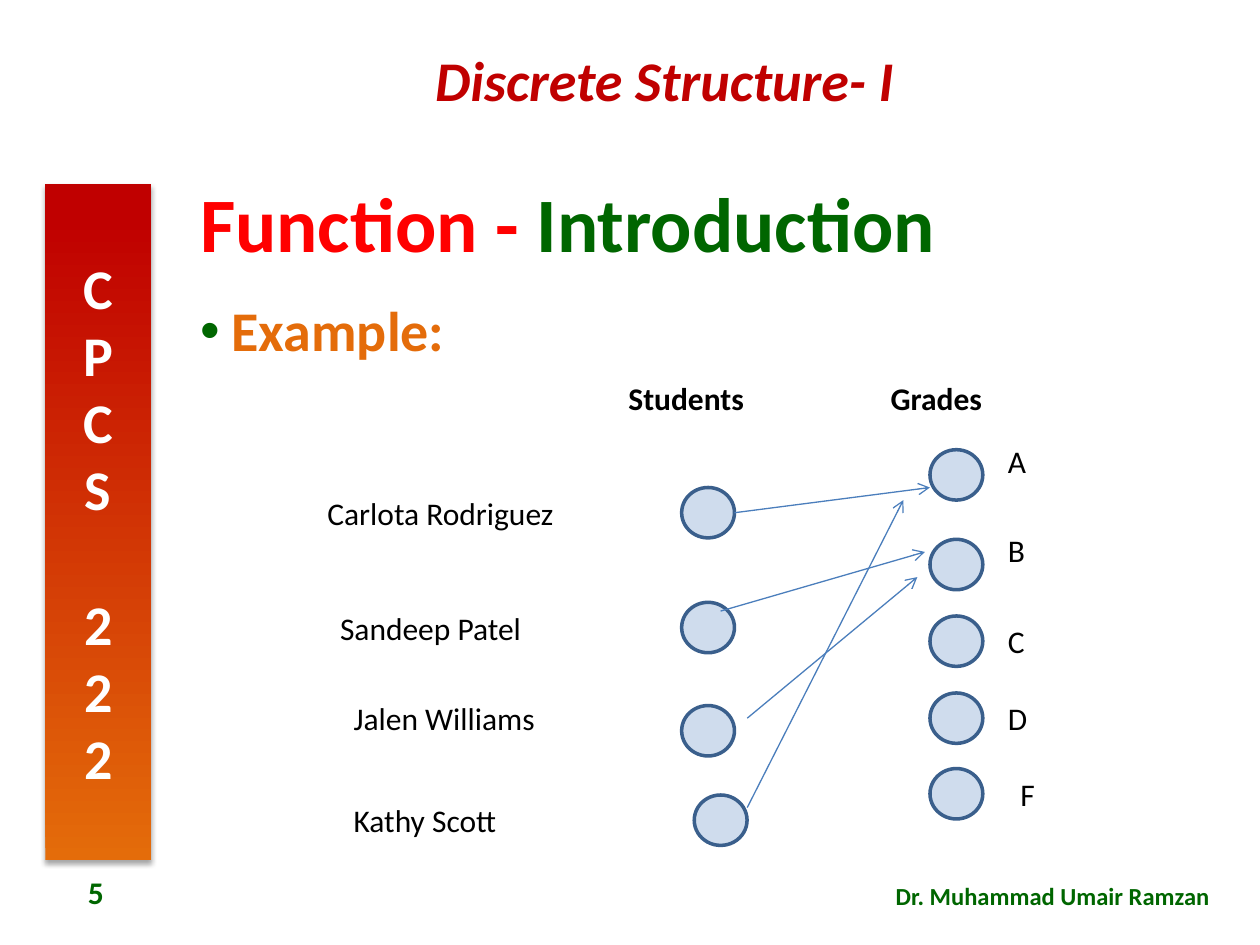
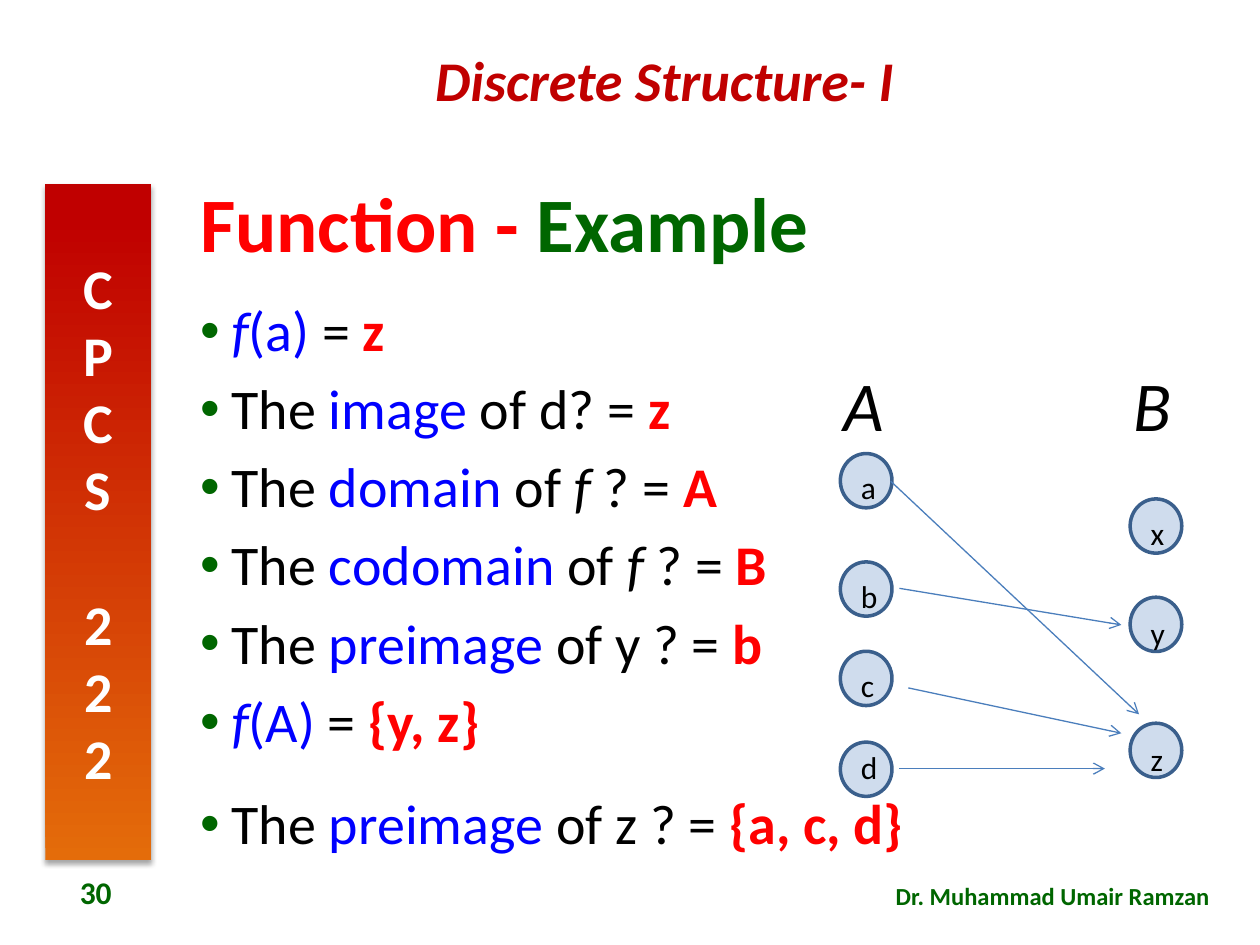
from lxml.etree import SubElement
from pptx import Presentation
from pptx.dml.color import RGBColor
from pptx.enum.shapes import MSO_CONNECTOR, MSO_SHAPE
from pptx.enum.text import MSO_ANCHOR, PP_ALIGN
from pptx.oxml.ns import qn
from pptx.util import Pt

RED, GREEN, BLUE, ORANGE = "FF0000", "006600", "0000FF", "E46C0A"
DARK_RED, BLACK, WHITE = "C00000", "000000", "FFFFFF"
NODE_FILL, NODE_LINE, ARROW = "4F81BD", "3A5F8C", "4B7EBC"


def color(value):
    return RGBColor.from_string(value)


class Deck:
    font = "Calibri"

    def __init__(self):
        self.presentation = Presentation()
        self.presentation.slide_width = Pt(720)
        self.presentation.slide_height = Pt(540)
        self.slide = None

    def new_slide(self, topic, number):
        layout = self.presentation.slide_layouts[6]
        self.slide = self.presentation.slides.add_slide(layout)
        self.text((152, 22.3, 455.8, 46), [("Discrete Structure- I", DARK_RED, "bi")],
                  32, PP_ALIGN.CENTER)
        self.band("CPCS 222")
        self.text((489.6, 499.7, 208.8, 24.5), [("Dr. Muhammad Umair Ramzan", GREEN, "b")],
                  14, PP_ALIGN.RIGHT)
        title = self.text((107.3, 97.9, 604, 64),
                          [("Function - ", RED, "b"), (topic, GREEN, "b")],
                          44, anchor=MSO_ANCHOR.MIDDLE)
        title.paragraphs[0].line_spacing = 0.9
        self.text((17.3, 495.4, 74.9, 28.8), [(number, GREEN, "b")],
                  18, PP_ALIGN.CENTER, MSO_ANCHOR.MIDDLE)

    def add_runs(self, paragraph, runs, size):
        for content, run_color, style in runs:
            run = paragraph.add_run()
            run.text = content
            run.font.name = self.font
            run.font.size = Pt(size)
            run.font.bold = "b" in style
            run.font.italic = "i" in style
            run.font.color.rgb = color(run_color)

    def text(self, box, runs, size=18, align=PP_ALIGN.LEFT, anchor=MSO_ANCHOR.TOP):
        frame = self.slide.shapes.add_textbox(*map(Pt, box)).text_frame
        frame.word_wrap = True
        frame.vertical_anchor = anchor
        frame.paragraphs[0].alignment = align
        self.add_runs(frame.paragraphs[0], runs, size)
        return frame

    def label(self, left, top, content, width=30, style="", size=18):
        self.text((left, top, width, size * 1.6), [(content, BLACK, style)], size)

    def bullets(self, items, last_gap=10):
        box = self.slide.shapes.add_textbox(Pt(107.3), Pt(169.9), Pt(604), Pt(316.8))
        frame = box.text_frame
        frame.word_wrap = True
        for index, runs in enumerate(items):
            paragraph = frame.add_paragraph() if index else frame.paragraphs[0]
            paragraph.alignment = PP_ALIGN.JUSTIFY
            paragraph.line_spacing = 0.9
            if index:
                paragraph.space_before = Pt(last_gap if index == len(items) - 1 else 10)
            properties = paragraph._p.get_or_add_pPr()
            properties.set("marL", str(Pt(18)))
            properties.set("indent", str(-Pt(18)))
            bullet_color = SubElement(properties, qn("a:buClr"))
            SubElement(bullet_color, qn("a:srgbClr"), val=GREEN)
            SubElement(properties, qn("a:buFont"), typeface="Arial")
            SubElement(properties, qn("a:buChar"), char="•")
            self.add_runs(paragraph, runs, 32)

    def band(self, course):
        shape = self.slide.shapes.add_shape(
            MSO_SHAPE.RECTANGLE, Pt(25.9), Pt(105.1), Pt(60.5), Pt(386.6))
        shape.line.fill.background()
        shape.fill.gradient()
        shape.fill.gradient_angle = 90
        stops = zip(shape.fill.gradient_stops, ((0, ORANGE), (0.95, DARK_RED)))
        for stop, (position, stop_color) in stops:
            stop.position = position
            stop.color.rgb = color(stop_color)
        effects = SubElement(shape._element.spPr, qn("a:effectLst"))
        shadow = SubElement(effects, qn("a:outerShdw"), blurRad=str(Pt(3.1)),
                            dist=str(Pt(1.8)), dir="5400000", rotWithShape="0")
        shade = SubElement(shadow, qn("a:srgbClr"), val=BLACK)
        SubElement(shade, qn("a:alpha"), val="35000")
        frame = shape.text_frame
        frame._txBody.bodyPr.set("vert", "wordArtVert")
        frame.paragraphs[0].alignment = PP_ALIGN.CENTER
        self.add_runs(frame.paragraphs[0], [(course, WHITE, "b")], 32)

    def node(self, left, top, width, height):
        shape = self.slide.shapes.add_shape(
            MSO_SHAPE.FLOWCHART_CONNECTOR, Pt(left), Pt(top), Pt(width), Pt(height))
        shape.shadow.inherit = False
        shape.fill.solid()
        shape.fill.fore_color.rgb = color(NODE_FILL)
        fill = shape._element.spPr.find(qn("a:solidFill"))
        SubElement(fill[0], qn("a:alpha"), val="27000")
        shape.line.color.rgb = color(NODE_LINE)
        shape.line.width = Pt(2)

    def arrow(self, *ends):
        connector = self.slide.shapes.add_connector(MSO_CONNECTOR.STRAIGHT, *map(Pt, ends))
        connector.line.color.rgb = color(ARROW)
        connector.line.width = Pt(0.75)
        SubElement(connector.line._get_or_add_ln(), qn("a:tailEnd"), type="arrow")
        SubElement(connector._element.spPr, qn("a:effectLst"))


def build_students(deck):
    deck.new_slide("Introduction", "5")
    deck.bullets([[("Example:", ORANGE, "b")]])
    deck.label(352, 213, "Students", 157, "b")
    deck.label(501.8, 213, "Grades", 104, "b")
    students = [
        ("Carlota Rodriguez", 180, 278.6, 389.5, 278.6),
        ("Sandeep Patel", 187.2, 344.2, 389.5, 344.2),
        ("Jalen Williams", 195, 396, 389.5, 403.2),
        ("Kathy Scott", 195, 454.3, 396.7, 454.3),
    ]
    for name, name_left, name_top, node_left, node_top in students:
        deck.node(node_left, node_top, 30.2, 28.8)
        deck.label(name_left, name_top, name, 190)
    grades = [("A", 568.8, 249, 257), ("B", 568.8, 300.2, 308.2), ("C", 568.8, 352, 352),
              ("D", 568.8, 396, 396), ("F", 576, 439.2, 439.2)]
    for grade, grade_left, grade_top, node_top in grades:
        deck.node(531.4, node_top, 30.2, 28.8)
        deck.label(grade_left, grade_top, grade)
    for ends in [(419.7, 293, 531.4, 278.6), (411.8, 349.2, 528.5, 315.4),
                 (427, 410.4, 524.2, 329.8), (427, 461.5, 516.2, 285.8)]:
        deck.arrow(*ends)


def question(term, subject, answer, function=False):
    if function:
        middle = [(" of ", BLACK, ""), ("f ", BLACK, "i"), ("? = ", BLACK, "")]
    else:
        middle = [(f" of {subject} = ", BLACK, "")]
    return [("The ", BLACK, ""), (term, BLUE, ""), *middle, (answer, RED, "b")]


def value(argument, answer):
    return [("f", BLUE, "i"), (f"({argument})", BLUE, ""), (" = ", BLACK, ""),
            (answer, RED, "b")]


def build_mapping(deck):
    deck.new_slide("Example", "30")
    deck.bullets([
        value("a", "z"),
        question("image", "d?", "z"),
        question("domain", "f", "A", function=True),
        question("codomain", "f", "B", function=True),
        question("preimage", "y ?", "b"),
        value("A", "{y, z}"),
        question("preimage", "z ?", "{a, c, d}"),
    ], last_gap=24)
    sets = [
        ("A", 480.2, [("a", 259.2, 5), ("b", 321.1, 5), ("c", 372.2, 5), ("d", 424.1, 0)]),
        ("B", 645.8, [("x", 285.1, 5), ("y", 341.3, 5.8), ("z", 413.3, 5.8)]),
    ]
    for set_name, left, members in sets:
        deck.label(left - 5, 203, set_name, 44, "i", 40)
        for member, top, drop in members:
            deck.node(left, top, 29.5, 31)
            deck.label(left + 4.6, top + drop, member)
    for ends in [(514, 336.2, 640.8, 357.1), (509, 275, 650.9, 408.2),
                 (519, 393.1, 640.8, 419), (514, 439.2, 631.4, 439.2)]:
        deck.arrow(*ends)


def main():
    deck = Deck()
    build_students(deck)
    build_mapping(deck)
    deck.presentation.save("out.pptx")


if __name__ == "__main__":
    main()
